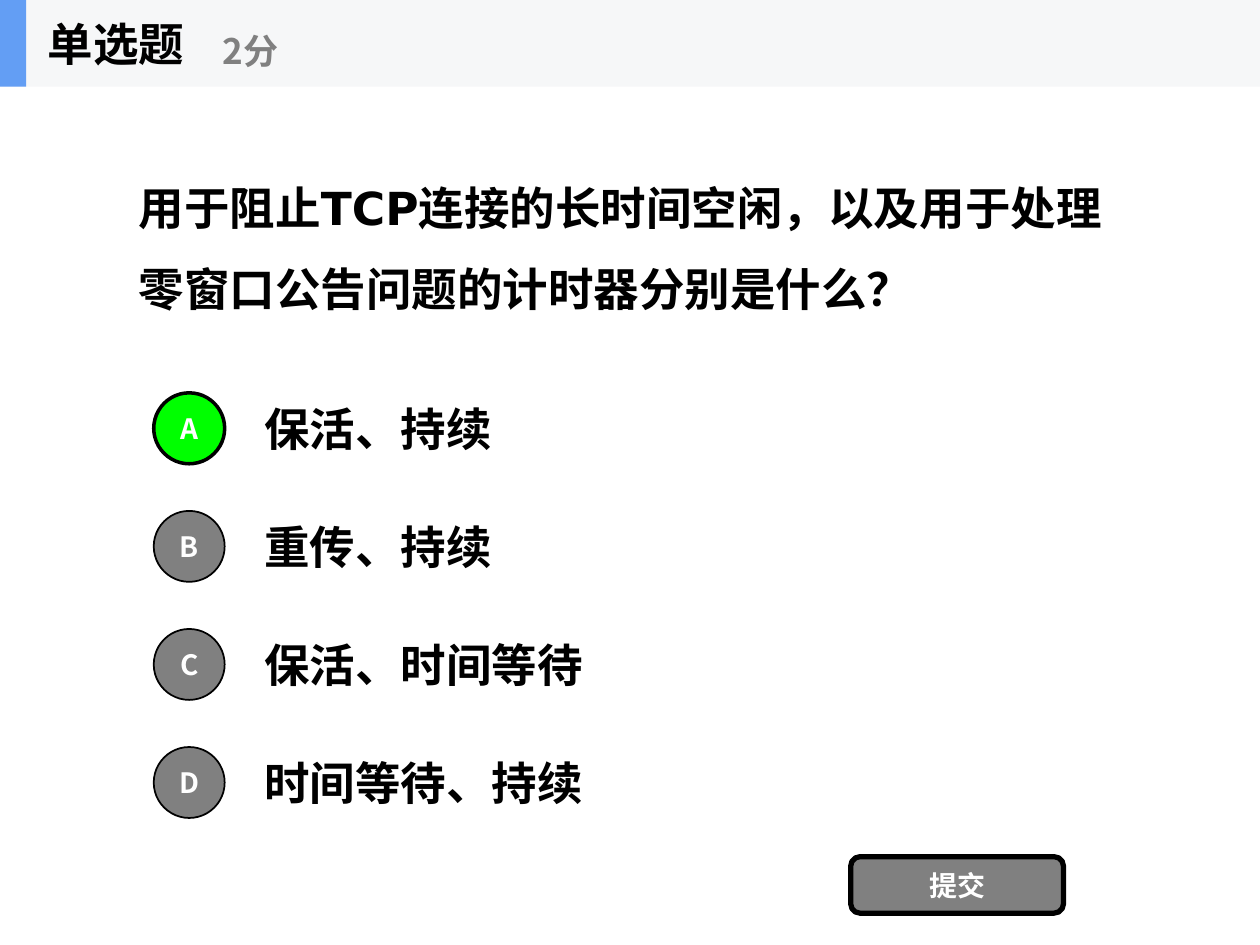
import pptx
import pptx.dml.color
import pptx.enum.shapes
import pptx.enum.text
import pptx.oxml
import pptx.oxml.ns
import pptx.util

Cm, Pt = pptx.util.Cm, pptx.util.Pt
RGBColor = pptx.dml.color.RGBColor
MSO_SHAPE = pptx.enum.shapes.MSO_SHAPE
PP_ALIGN = pptx.enum.text.PP_ALIGN

BLACK = RGBColor(0x00, 0x00, 0x00)
WHITE = RGBColor(0xFF, 0xFF, 0xFF)
GRAY = RGBColor(0x80, 0x80, 0x80)
GREEN = RGBColor(0x00, 0xFF, 0x00)
BAND = RGBColor(0xF6, 0xF7, 0xF8)
BLUE = RGBColor(0x63, 0x9E, 0xF4)
DEJAVU = "DejaVu Sans"
NOTO = "Noto Sans CJK SC"


def write(sp, text, font, size, color, align=PP_ALIGN.LEFT, wrap=True):
    tf = sp.text_frame
    tf.text = text
    tf.word_wrap = wrap
    tf.auto_size = pptx.enum.text.MSO_AUTO_SIZE.NONE
    tf.vertical_anchor = pptx.enum.text.MSO_ANCHOR.MIDDLE
    p = tf.paragraphs[0]
    p.alignment = align
    r = p.runs[0]
    r.font.name = font
    r.font.size = Pt(size)
    r.font.bold = True
    r.font.color.rgb = color
    ea = pptx.oxml.parse_xml(f'<a:ea {pptx.oxml.ns.nsdecls("a")} typeface="{font}"/>')
    r.font._element.find(pptx.oxml.ns.qn("a:latin")).addnext(ea)


def add_box(shapes, kind, left, top, width, height, fill, line=0):
    sp = shapes.add_shape(kind, Cm(left), Cm(top), Cm(width), Cm(height))
    sp.shadow.inherit = False
    sp.fill.solid()
    sp.fill.fore_color.rgb = fill
    if line:
        sp.line.color.rgb = BLACK
        sp.line.width = Pt(line)
    else:
        sp.line.fill.background()
    return sp


prs = pptx.Presentation()
prs.slide_width, prs.slide_height = Cm(25.4), Cm(19.05)
s = prs.slides.add_slide(prs.slide_layouts[5])

title = s.shapes.title
title.left, title.top, title.width, title.height = Cm(2.54), Cm(1.75), Cm(20.32), Cm(5.94)
write(title, "用于阻止TCP连接的长时间空闲，以及用于处理零窗口公告问题的计时器分别是什么？", DEJAVU, 26, BLACK)
title.text_frame.paragraphs[0].line_spacing = 1.5

options = ["保活、持续", "重传、持续", "保活、时间等待", "时间等待、持续"]
answer = "A"
for i, (letter, option) in enumerate(zip("ABCD", options)):
    top = 7.75 + 2.38 * i
    sp = s.shapes.add_textbox(Cm(5.08), Cm(top), Cm(17.78), Cm(1.78))
    write(sp, option, DEJAVU, 26, BLACK)
    fill, line = (GREEN, 2) if letter == answer else (GRAY, 1)
    sp = add_box(s.shapes, MSO_SHAPE.OVAL, 3.1, top + 0.17, 1.43, 1.43, fill, line)
    write(sp, letter, NOTO, 16, WHITE, PP_ALIGN.CENTER, False)

submit = add_box(s.shapes, MSO_SHAPE.ROUNDED_RECTANGLE, 17.15, 17.27, 4.29, 1.14, GRAY, 3)
write(submit, "提交", NOTO, 16, WHITE, PP_ALIGN.CENTER, False)

header = s.shapes.add_group_shape()
add_box(header.shapes, MSO_SHAPE.RECTANGLE, 0, 0, 25.4, 1.75, BAND)
add_box(header.shapes, MSO_SHAPE.RECTANGLE, 0, 0, 0.53, 1.75, BLUE)
sp = header.shapes.add_textbox(Cm(0.71), Cm(0), Cm(5.28), Cm(1.75))
write(sp, "单选题", NOTO, 26, BLACK)
sp = header.shapes.add_textbox(Cm(4.24), Cm(0.3), Cm(6.35), Cm(1.42))
write(sp, "2分", NOTO, 20, GRAY)

prs.save("out.pptx")
